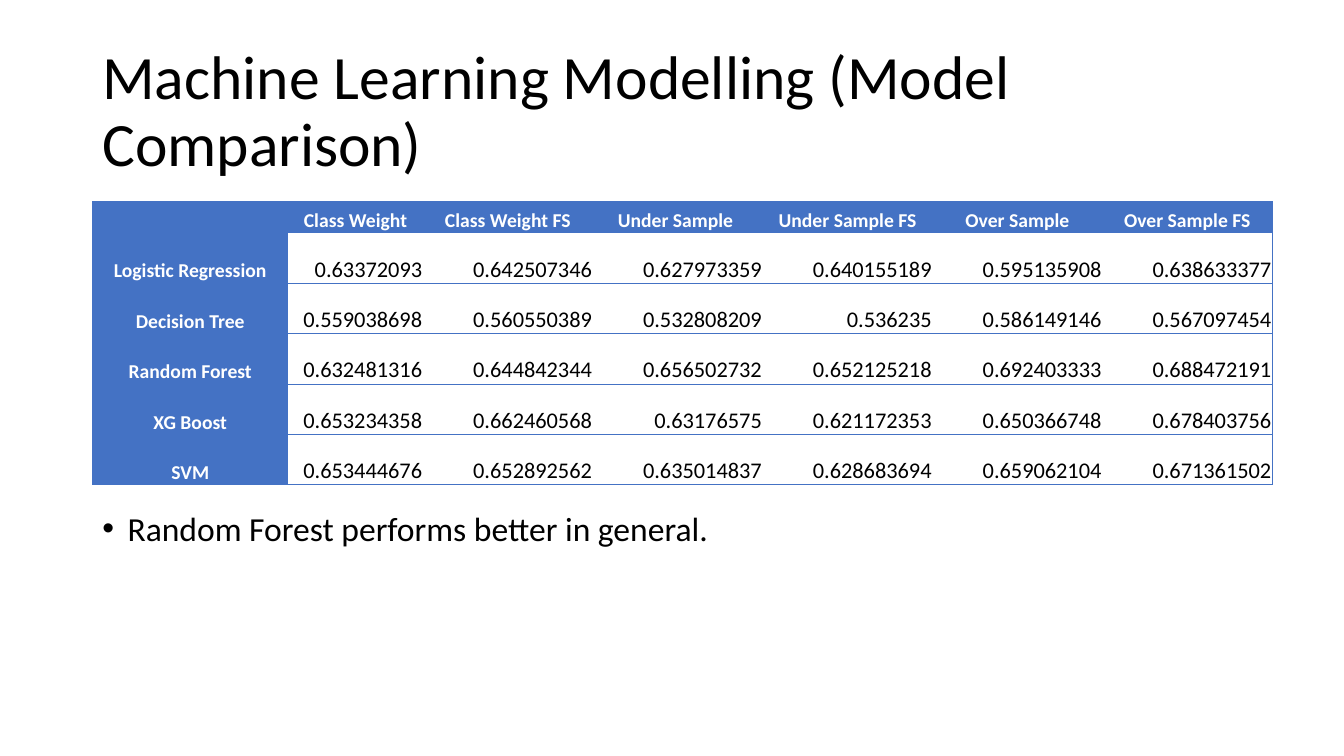
"""Build the model comparison slide: title, score table and conclusion."""
from lxml import etree
from pptx import Presentation, util as u
from pptx.dml.color import RGBColor
from pptx.enum import text
from pptx.oxml import ns

TITLE = "Machine Learning Modelling (Model Comparison)"
CONCLUSION = "Random Forest performs better in general."
SAMPLINGS = ["Class Weight", "Class Weight FS", "Under Sample ",
             "Under Sample FS", "Over Sample", "Over Sample FS"]
SCORES = {
    "Logistic Regression": ["0.63372093", "0.642507346", "0.627973359",
                            "0.640155189", "0.595135908", "0.638633377"],
    "Decision Tree": ["0.559038698", "0.560550389", "0.532808209",
                      "0.536235", "0.586149146", "0.567097454"],
    "Random Forest": ["0.632481316", "0.644842344", "0.656502732",
                      "0.652125218", "0.692403333", "0.688472191"],
    "XG Boost": ["0.653234358", "0.662460568", "0.63176575",
                 "0.621172353", "0.650366748", "0.678403756"],
    "SVM": ["0.653444676", "0.652892562", "0.635014837",
            "0.628683694", "0.659062104", "0.671361502"],
}

BLUE = RGBColor(0x44, 0x72, 0xC4)
WHITE = RGBColor(0xFF, 0xFF, 0xFF)
BLACK = RGBColor(0, 0, 0)
PLAIN_STYLE = "{2D5ABB26-0587-4C30-8999-92F81FD0307C}"

LEFT, TEXT_WIDTH = u.Cm(2.33), u.Cm(29.21)
TABLE_TOP = u.Cm(5.08)
COLUMNS = [u.Cm(4.93), u.Cm(3.4)] + [u.Cm(4.28)] * 5
ROWS = [u.Cm(0.74)] + [u.Cm(1.27)] * len(SCORES)
HAIR = u.Cm(0.02)

LABEL = {
    "cell": {"margin_left": 0, "margin_right": 0},
    "font": {"size": u.Pt(14), "bold": True},
    "color": WHITE, "align": text.PP_ALIGN.CENTER,
}
SCORE = {
    "cell": {"margin_left": HAIR, "margin_right": HAIR},
    "font": {"size": u.Pt(16), "bold": False},
    "color": BLACK, "align": text.PP_ALIGN.RIGHT,
}
CELL = {"margin_top": HAIR, "margin_bottom": 0,
        "vertical_anchor": text.MSO_ANCHOR.BOTTOM}


def apply(target, values):
    for name, value in values.items():
        setattr(target, name, value)


def write(paragraph, wording, color, font):
    run = paragraph.add_run()
    run.text = wording
    apply(run.font, {"name": "Calibri", **font})
    run.font.color.rgb = color


def add_line(slide, wording, top, height, size, anchor, space_before):
    frame = slide.shapes.add_textbox(LEFT, top, TEXT_WIDTH, height).text_frame
    apply(frame, {"word_wrap": True, "vertical_anchor": anchor})
    paragraph = frame.paragraphs[0]
    apply(paragraph, {"line_spacing": 0.9, "space_before": space_before})
    write(paragraph, wording, BLACK, {"size": size})
    return paragraph


def add_bullet(paragraph):
    properties = paragraph._p.get_or_add_pPr()
    indent = u.Cm(0.635)
    properties.set("marL", str(indent))
    properties.set("indent", str(-indent))
    etree.SubElement(properties, ns.qn("a:buFont"), typeface="Arial")
    etree.SubElement(properties, ns.qn("a:buChar"), char="•")


def add_borders(cell, sides):
    properties = cell._tc.get_or_add_tcPr()
    for side in sides:
        line = etree.SubElement(properties, ns.qn(f"a:ln{side}"), w=str(u.Pt(0.5)))
        fill = etree.SubElement(line, ns.qn("a:solidFill"))
        etree.SubElement(fill, ns.qn("a:srgbClr"), val=str(BLUE))


def add_scores(slide):
    grid = [["", *SAMPLINGS]] + [[model, *scores] for model, scores in SCORES.items()]
    table = slide.shapes.add_table(len(ROWS), len(COLUMNS), LEFT, TABLE_TOP,
                                   sum(COLUMNS), sum(ROWS)).table
    apply(table, {"first_row": False, "horz_banding": False})
    table._tbl.tblPr.find(ns.qn("a:tableStyleId")).text = PLAIN_STYLE
    for column, width in zip(table.columns, COLUMNS):
        column.width = width
    for row, height in zip(table.rows, ROWS):
        row.height = height
    for r, entries in enumerate(grid):
        for c, entry in enumerate(entries):
            cell = table.cell(r, c)
            is_label = r == 0 or c == 0
            look = LABEL if is_label else SCORE
            apply(cell, {**CELL, **look["cell"]})
            left = "L" if c == 0 else ""
            right = "R" if c == len(COLUMNS) - 1 else ""
            add_borders(cell, left + right + "TB")
            if is_label:
                cell.fill.solid()
                cell.fill.fore_color.rgb = BLUE
            else:
                cell.fill.background()
            paragraph = cell.text_frame.paragraphs[0]
            paragraph.alignment = look["align"]
            write(paragraph, entry, look["color"], look["font"])


def main():
    deck = Presentation()
    apply(deck, {"slide_width": u.Cm(33.87), "slide_height": u.Cm(19.05)})
    slide = deck.slides.add_slide(deck.slide_layouts[6])
    add_line(slide, TITLE, u.Cm(1.01), u.Cm(3.68), u.Pt(44),
             text.MSO_ANCHOR.MIDDLE, u.Pt(0))
    add_scores(slide)
    conclusion = add_line(slide, CONCLUSION, u.Cm(12.78), u.Cm(2.13), u.Pt(24),
                          text.MSO_ANCHOR.TOP, u.Pt(10))
    add_bullet(conclusion)
    deck.save("out.pptx")


if __name__ == "__main__":
    main()
